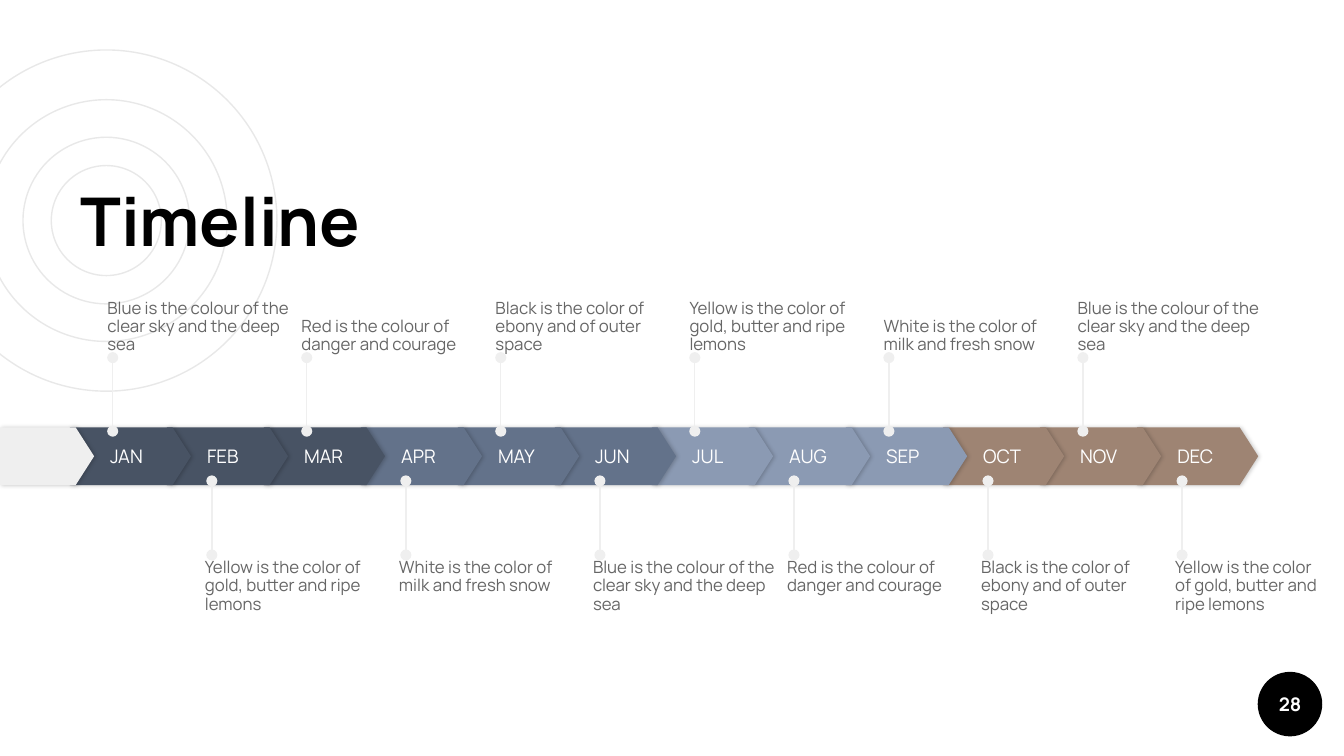
"""Build a twelve-month timeline slide with notes above and below the bar."""
from lxml.etree import SubElement
from pptx import Presentation
from pptx.dml.color import RGBColor
from pptx.enum.shapes import MSO_CONNECTOR, MSO_SHAPE
from pptx.enum.text import MSO_ANCHOR as ANCHOR, MSO_AUTO_SIZE, PP_ALIGN as ALIGN
from pptx.oxml.ns import qn
from pptx.util import Cm, Pt

FONT = "Manrope"
BLACK, WHITE, PALE, RING, GREY = "000000", "FFFFFF", "EFEFEF", "E8E8E8", "666666"
QUARTERS = [
    ("485364", ["JAN", "FEB", "MAR"]),
    ("63728A", ["APR", "MAY", "JUN"]),
    ("8B9AB3", ["JUL", "AUG", "SEP"]),
    ("9E8473", ["OCT", "NOV", "DEC"]),
]
BLUE_NOTE = "Blue is the colour of the clear sky and the deep sea"
RED_NOTE = "Red is the colour of danger and courage"
BLACK_NOTE = "Black is the color of ebony and of outer space"
YELLOW_NOTE = "Yellow is the color of gold, butter and ripe lemons"
WHITE_NOTE = "White is the color of milk and fresh snow"
SIDES = [
    dict(notes=[BLUE_NOTE, RED_NOTE, BLACK_NOTE, YELLOW_NOTE, WHITE_NOTE, BLUE_NOTE],
         first=0, pin_x=2.13, pin_y=(8.15, 6.76), gap=0.1, top=5.23, anchor=ANCHOR.BOTTOM),
    dict(notes=[YELLOW_NOTE, WHITE_NOTE, BLUE_NOTE, RED_NOTE, BLACK_NOTE, YELLOW_NOTE],
         first=1, pin_x=2.17, pin_y=(10.49, 9.09), gap=0.13, top=10.57, anchor=ANCHOR.TOP),
]
RINGS = [6.45, 3.15, 4.57, 2.08]
RING_X, RING_Y = 2.01, 4.17
BAR_X, BAR_Y, BAR_W, BAR_H = 1.32, 8.08, 2.29, 1.09
PITCH = 20.17 / 11
NOTE_W, NOTE_H, NOTE_RIGHT = 3.48, 1.47, 25.12


def rgb(color):
    return RGBColor.from_string(color)


def write(shape, text, size, color, bold=False, align=ALIGN.LEFT,
          anchor=ANCHOR.MIDDLE, inset=(0, 0, 0, 0), spacing=1.0):
    tf = shape.text_frame
    tf.text = text
    tf.word_wrap = True
    tf.auto_size = MSO_AUTO_SIZE.NONE
    tf.vertical_anchor = anchor
    tf.margin_left, tf.margin_top, tf.margin_right, tf.margin_bottom = map(Cm, inset)
    p = tf.paragraphs[0]
    p.alignment, p.line_spacing = align, spacing
    font = p.runs[0].font
    font.name, font.size, font.bold = FONT, Pt(size), bold
    font.color.rgb = rgb(color)


def add_shape(s, kind, x, y, w, h, fill=None, line=None):
    sp = s.shapes.add_shape(kind, Cm(x), Cm(y), Cm(w), Cm(h))
    sp.shadow.inherit = False
    if fill:
        sp.fill.solid()
        sp.fill.fore_color.rgb = rgb(fill)
    else:
        sp.fill.background()
    if line:
        sp.line.color.rgb = rgb(line)
        sp.line.width = Pt(0.75)
    else:
        sp.line.fill.background()
    return sp


def add_plate(s, x, w, fill):
    sp = add_shape(s, MSO_SHAPE.PENTAGON, x, BAR_Y, w, BAR_H, fill)
    sp.adjustments[0] = 0.32
    effects = sp.element.spPr.find(qn("a:effectLst"))
    shadow = SubElement(effects, qn("a:outerShdw"), blurRad=str(Pt(2.2)),
                        dist=str(Pt(0.8)), dir="0", rotWithShape="0")
    color = SubElement(shadow, qn("a:srgbClr"), val=BLACK)
    SubElement(color, qn("a:alpha"), val="20000")
    return sp


def add_pin(s, x, start, end):
    pin = s.shapes.add_connector(MSO_CONNECTOR.STRAIGHT, Cm(x), Cm(start), Cm(x), Cm(end))
    pin.line.color.rgb = rgb(PALE)
    pin.line.width = Pt(0.75)
    spPr = pin.element.spPr
    for tag in ("a:headEnd", "a:tailEnd"):
        SubElement(spPr.find(qn("a:ln")), qn(tag), type="oval")
    SubElement(spPr, qn("a:effectLst"))


def main():
    prs = Presentation()
    prs.slide_width, prs.slide_height = Cm(25.4), Cm(14.29)
    s = prs.slides.add_slide(prs.slide_layouts[5])

    for d in RINGS:
        add_shape(s, MSO_SHAPE.OVAL, RING_X - d / 2, RING_Y - d / 2, d, d, line=RING)
    badge = add_shape(s, MSO_SHAPE.OVAL, 23.77, 12.7, 1.22, 1.22, BLACK)
    write(badge, "28", 10, WHITE, bold=True, align=ALIGN.CENTER)

    title = s.shapes.title
    title.element.getparent().append(title.element)
    title.left, title.top, title.width, title.height = map(Cm, (1.27, 3.25, 14.5, 1.91))
    write(title, "Timeline", 36, BLACK, bold=True, anchor=ANCHOR.BOTTOM, inset=[0.25] * 4)

    months = [(month, color) for color, names in QUARTERS for month in names]
    for i, (month, color) in reversed(list(enumerate(months))):
        plate = add_plate(s, BAR_X + i * PITCH, BAR_W, color)
        write(plate, month, 10, WHITE, inset=(0.76, 0, 0, 0))
    add_plate(s, 0, 1.78, PALE)

    for side in SIDES:
        for i, note in enumerate(side["notes"]):
            x = side["pin_x"] + (side["first"] + 2 * i) * PITCH
            add_pin(s, x, *side["pin_y"])
            left = x - side["gap"]
            width = min(NOTE_W, NOTE_RIGHT - left)
            box = s.shapes.add_textbox(Cm(left), Cm(side["top"]), Cm(width), Cm(NOTE_H))
            write(box, note, 9, GREY, anchor=side["anchor"], spacing=0.9)

    prs.save("out.pptx")


if __name__ == "__main__":
    main()
